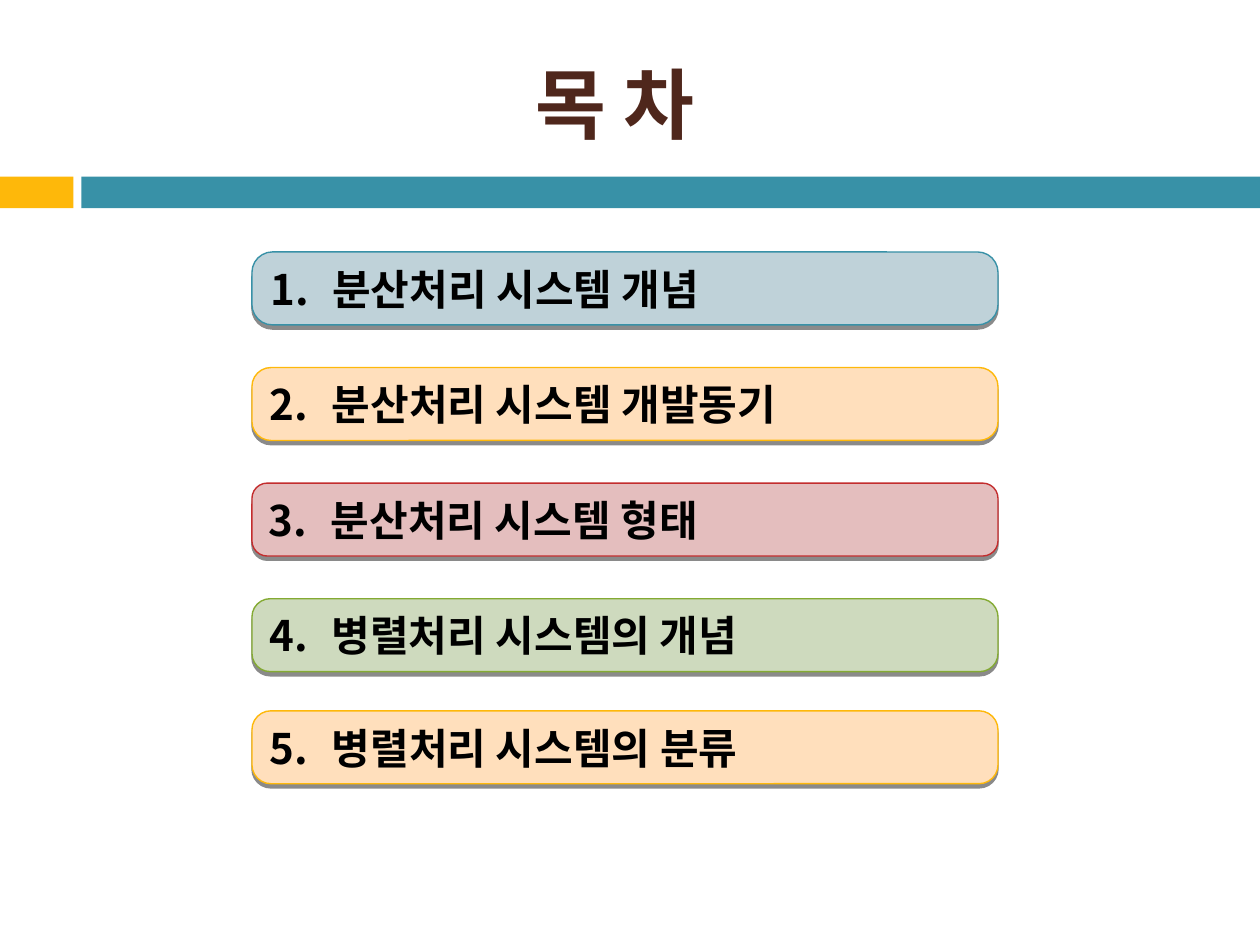
from dataclasses import dataclass

from lxml import etree
from pptx import Presentation
from pptx.dml.color import RGBColor
from pptx.enum.shapes import MSO_SHAPE
from pptx.enum.text import MSO_ANCHOR, PP_ALIGN
from pptx.oxml.ns import qn
from pptx.util import Cm, Pt

RECTANGLE = MSO_SHAPE.RECTANGLE
ROUNDED = MSO_SHAPE.ROUNDED_RECTANGLE
MIDDLE = MSO_ANCHOR.MIDDLE
LEFT, CENTER = PP_ALIGN.LEFT, PP_ALIGN.CENTER


@dataclass(frozen=True)
class Theme:
    font: str = "Noto Sans CJK KR"
    title_size: int = 44
    item_size: int = 24
    outline: float = 0.79
    brown: str = "4F271C"
    black: str = "000000"
    teal: str = "3891A7"
    amber: str = "FEB80A"
    red: str = "C32D2E"
    green: str = "84AA33"
    pale_teal: str = "BFD2D9"
    pale_amber: str = "FFDFBC"
    pale_red: str = "E4BEBE"
    pale_green: str = "CEDABE"


THEME = Theme()

# Number, text, top (cm), corner ratio, fill, outline
ITEMS = [
    ("1.", "분산처리 시스템 개념", 5.08, 0.28, THEME.pale_teal, THEME.teal),
    ("2.", "분산처리 시스템 개발동기", 7.41, 0.26, THEME.pale_amber, THEME.amber),
    ("3.", "분산처리 시스템 형태", 9.74, 0.21, THEME.pale_red, THEME.red),
    ("4.", "병렬처리 시스템의 개념", 12.07, 0.25, THEME.pale_green, THEME.green),
    ("5.", "병렬처리 시스템의 분류", 14.33, 0.26, THEME.pale_amber, THEME.amber),
]


def write_text(shape, text, *, size, color, align=LEFT, tab=None):
    frame = shape.text_frame
    frame.word_wrap = True
    frame.vertical_anchor = MIDDLE
    para = frame.paragraphs[0]
    para.alignment = align
    if tab is not None:
        stops = etree.SubElement(para._p.get_or_add_pPr(), qn("a:tabLst"))
        etree.SubElement(stops, qn("a:tab"), pos=str(tab), algn="l")
    span = para.add_run()
    span.text = text
    span.font.name = THEME.font
    span.font.size = Pt(size)
    span.font.bold = True
    span.font.color.rgb = RGBColor.from_string(color)
    etree.SubElement(span._r.get_or_add_rPr(), qn("a:ea"), typeface=THEME.font)


class SlideBuilder:
    def __init__(self, deck, theme):
        self.theme = theme
        self.page = deck.slides.add_slide(deck.slide_layouts[6])

    def title(self, text, left, top, width, height):
        box = self.page.shapes.add_textbox(Cm(left), Cm(top), Cm(width), Cm(height))
        write_text(box, text, size=self.theme.title_size,
                   color=self.theme.brown, align=CENTER)

    def block(self, left, top, width, height, fill, kind=RECTANGLE):
        shape = self.page.shapes.add_shape(kind, Cm(left), Cm(top), Cm(width), Cm(height))
        shape.shadow.inherit = False
        shape.fill.solid()
        shape.fill.fore_color.rgb = RGBColor.from_string(fill)
        shape.line.fill.background()
        return shape

    def item(self, number, text, top, corner, fill, outline):
        shape = self.block(5.08, top, 15.04, 1.47, fill, ROUNDED)
        shape.adjustments[0] = corner
        shape.line.color.rgb = RGBColor.from_string(outline)
        shape.line.width = Pt(self.theme.outline)
        self.drop_shadow(shape)
        write_text(shape, f"{number}\t{text}", size=self.theme.item_size,
                   color=self.theme.black, tab=Cm(1.25))

    def drop_shadow(self, shape):
        effects = shape._element.spPr.find(qn("a:effectLst"))
        shadow = etree.SubElement(effects, qn("a:outerShdw"), blurRad="0",
                                  dist=str(Pt(2.4)), dir="5400000", rotWithShape="0")
        color = etree.SubElement(shadow, qn("a:srgbClr"), val=self.theme.black)
        etree.SubElement(color, qn("a:alpha"), val="45000")


def main():
    deck = Presentation()
    deck.slide_width, deck.slide_height = Cm(25.4), Cm(19.05)
    builder = SlideBuilder(deck, THEME)

    # Header band
    builder.block(0, 3.56, 1.48, 0.64, THEME.amber)
    builder.block(1.64, 3.56, 23.76, 0.64, THEME.teal)
    builder.title("목 차", 1.07, 0.71, 22.66, 2.74)

    # Contents
    for entry in ITEMS:
        builder.item(*entry)

    deck.save("out.pptx")


if __name__ == "__main__":
    main()
